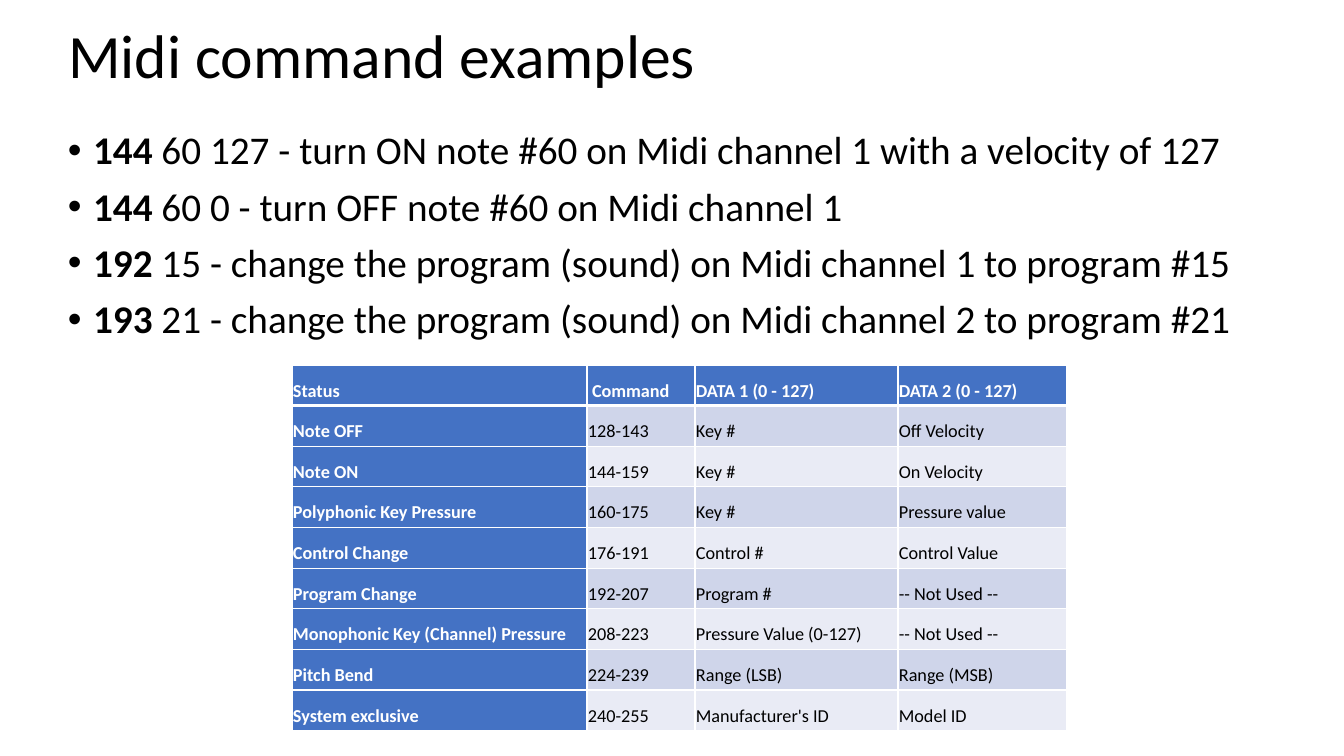
from lxml import etree
from pptx import Presentation
from pptx import util as u
from pptx.dml.color import RGBColor
from pptx.enum import text
from pptx.oxml import ns

PX = 914400 / 100.8
COLORS = {"ink": "000000", "white": "FFFFFF", "blue": "4472C4",
          "band": "CFD5EA", "pale": "E9EBF5"}

EXAMPLES = [
    ("144", " 60 127 - turn ON note #60 on Midi channel 1 with a velocity of 127"),
    ("144", " 60 0 - turn OFF note #60 on Midi channel 1"),
    ("192", " 15 - change the program (sound) on Midi channel 1 to program #15"),
    ("193", " 21 - change the program (sound) on Midi channel 2 to program #21"),
]
COMMANDS = [
    ("Status", " Command", "DATA 1 (0 - 127)", "DATA 2 (0 - 127)"),
    ("Note OFF", "128-143", "Key #", "Off Velocity"),
    ("Note ON", "144-159", "Key #", "On Velocity"),
    ("Polyphonic Key Pressure", "160-175", "Key #", "Pressure value"),
    ("Control Change", "176-191", "Control #", "Control Value"),
    ("Program Change", "192-207", "Program #", "-- Not Used --"),
    ("Monophonic Key (Channel) Pressure", "208-223", "Pressure Value (0-127)", "-- Not Used --"),
    ("Pitch Bend", "224-239", "Range (LSB)", "Range (MSB)"),
    ("System exclusive", "240-255", "Manufacturer's ID", "Model ID"),
]


def px(length):
    return u.Emu(round(length * PX))


class SlideBuilder:
    """Holds the text style and the current slide, and adds its elements."""

    def __init__(self, slide, font="Calibri"):
        self.slide = slide
        self.font = font

    def style(self, para, size, color="ink", bold=None, spacing=0.9):
        para.line_spacing = spacing
        para.font.name = self.font
        para.font.size = u.Pt(size)
        para.font.bold = bold
        para.font.color.rgb = RGBColor.from_string(COLORS[color])

    def title(self, words, left, top, width, height):
        box = self.slide.shapes.title
        box.left, box.top, box.width, box.height = map(px, (left, top, width, height))
        frame = box.text_frame
        frame.text = words
        frame.auto_size = text.MSO_AUTO_SIZE.NONE
        frame.vertical_anchor = text.MSO_ANCHOR.MIDDLE
        para = frame.paragraphs[0]
        para.alignment = text.PP_ALIGN.LEFT
        self.style(para, 44)

    def bullets(self, items, left, top, width, height):
        frame = self.slide.shapes.add_textbox(*map(px, (left, top, width, height))).text_frame
        frame.word_wrap = True
        for index, (lead, rest) in enumerate(items):
            para = frame.add_paragraph() if index else frame.paragraphs[0]
            props = para._p.get_or_add_pPr()
            props.set("marL", str(u.Inches(0.25)))
            props.set("indent", str(-u.Inches(0.25)))
            etree.SubElement(props, ns.qn("a:buFont"), typeface="Arial")
            etree.SubElement(props, ns.qn("a:buChar"), char="•")
            self.style(para, 28)
            if index:
                para.space_before = u.Pt(10)
            span = para.add_run()
            span.text = lead
            span.font.bold = True
            para.add_run().text = rest

    def border(self, cell, side, points):
        line = etree.SubElement(cell._tc.get_or_add_tcPr(), ns.qn("a:ln" + side),
                                w=str(u.Pt(points)))
        fill = etree.SubElement(line, ns.qn("a:solidFill"))
        etree.SubElement(fill, ns.qn("a:srgbClr"), val=COLORS["white"])

    def cell(self, cell, words, row, column):
        heading = row == 0 or column == 0
        for side in "LRTB":
            thick = (row, side) in ((0, "B"), (1, "T"))
            self.border(cell, side, 3 if thick else 1)
        cell.fill.solid()
        fill = "blue" if heading else "band" if row % 2 else "pale"
        cell.fill.fore_color.rgb = RGBColor.from_string(COLORS[fill])
        cell.margin_left = cell.margin_right = px(1)
        cell.margin_top = cell.margin_bottom = px(1)
        cell.vertical_anchor = text.MSO_ANCHOR.MIDDLE
        cell.text = words
        self.style(cell.text_frame.paragraphs[0], 13,
                   "white" if heading else "ink", heading, 1.5)

    def table(self, rows, widths, left, top, height):
        place = map(px, (left, top, sum(widths), height))
        table = self.slide.shapes.add_table(len(rows), len(widths), *place).table
        for column, width in zip(table.columns, widths):
            column.width = px(width)
        for row, values in enumerate(rows):
            for column, words in enumerate(values):
                self.cell(table.cell(row, column), words, row, column)


def main():
    deck = Presentation()
    deck.slide_width, deck.slide_height = px(1344), px(756)
    page = SlideBuilder(deck.slides.add_slide(deck.slide_layouts[5]))
    page.title("Midi command examples", 58, 0, 1183, 117)
    page.table(COMMANDS, (295, 108, 203, 169), 292, 365, 366)
    page.bullets(EXAMPLES, 58, 126, 1286, 339)
    deck.save("out.pptx")


if __name__ == "__main__":
    main()
